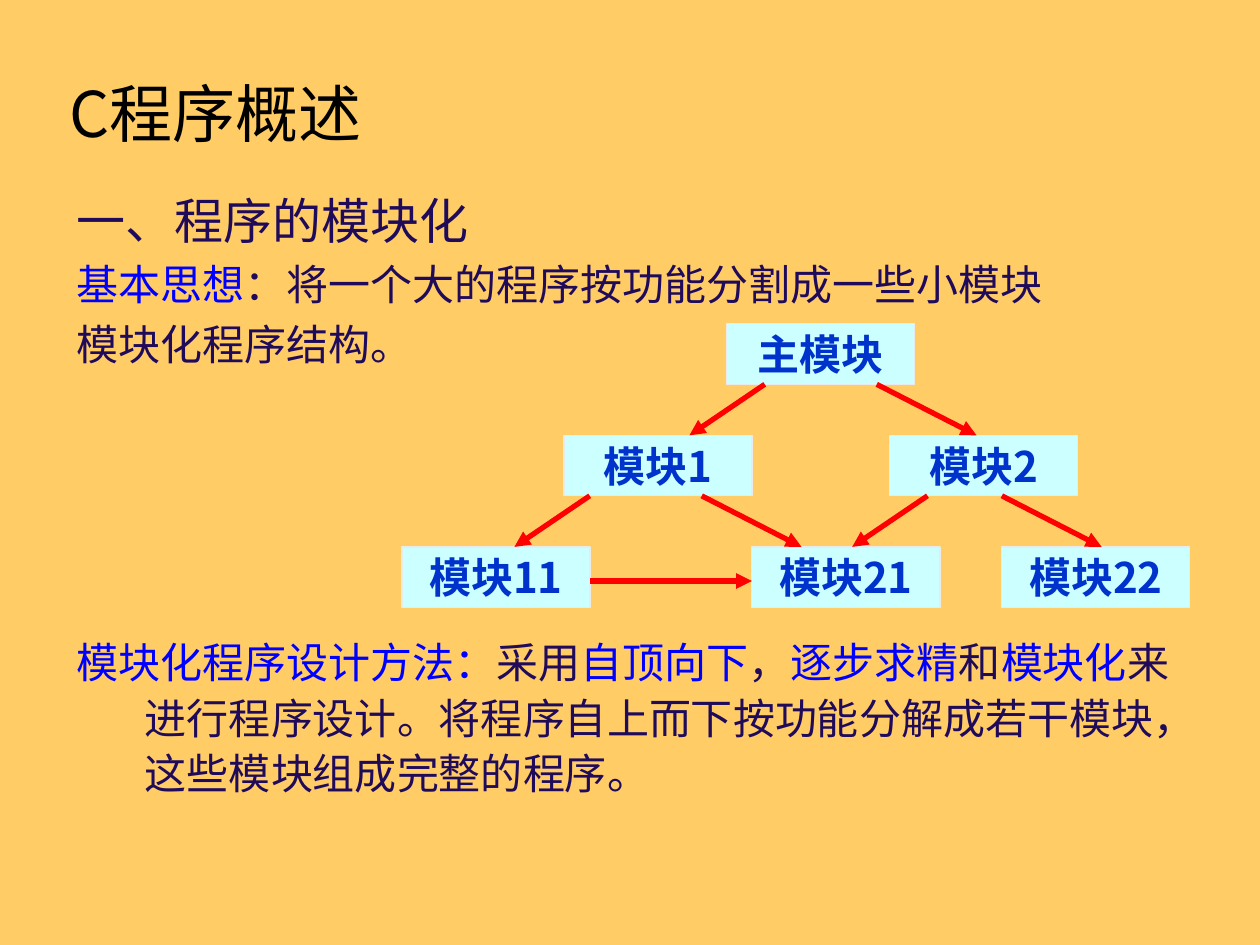
from lxml import etree
from pptx import Presentation
from pptx.dml.color import RGBColor
from pptx.enum.shapes import MSO_CONNECTOR, MSO_SHAPE
from pptx.enum.text import MSO_ANCHOR, MSO_AUTO_SIZE, PP_ALIGN
from pptx.oxml.ns import qn
from pptx.util import Pt

FONT = "Noto Sans CJK SC"
DARK, BLUE = "200B5B", "0000FF"


def color(target, value):
    """Give a fill or a font color a hex value."""
    if hasattr(target, "solid"):
        target.solid()
        target = target.fore_color
    target.rgb = RGBColor.from_string(value)


def add_text(paragraph, text, size, value, bold=False):
    run = paragraph.add_run()
    run.text = text
    for name, setting in {"name": FONT, "size": Pt(size), "bold": bold}.items():
        setattr(run.font, name, setting)
    color(run.font.color, value)
    etree.SubElement(run._r.get_or_add_rPr(), qn("a:ea"), typeface=FONT)


prs = Presentation()
prs.slide_width, prs.slide_height = Pt(720), Pt(540)
slide = prs.slides.add_slide(prs.slide_layouts[5])
color(slide.background.fill, "FFCC66")

# Title
title = slide.shapes.title
title_place = {"left": 32.4, "top": 38.2, "width": 648, "height": 51.8}
for name, value in title_place.items():
    setattr(title, name, Pt(value))
title.text_frame.vertical_anchor = MSO_ANCHOR.MIDDLE
title.text_frame.auto_size = MSO_AUTO_SIZE.NONE
heading = title.text_frame.paragraphs[0]
heading.alignment = PP_ALIGN.LEFT
add_text(heading, "C程序概述", 36, "000000")

# Body text above and below the diagram: (size, line height, runs)
introduction = [
    (28, 37, [("一、程序的模块化", DARK)]),
    (24, 31.7, [("基本思想", BLUE), ("：将一个大的程序按功能分割成一些小模块", DARK)]),
    (24, 31.7, [("模块化程序结构。", DARK)]),
]
method = [
    (24, 31.7, [
        ("模块化程序设计方法：", BLUE), ("采用", DARK), ("自顶向下", BLUE),
        ("，", DARK), ("逐步求精", BLUE), ("和", DARK), ("模块化", BLUE),
        ("来进行程序设计。将程序自上而下按功能分解成若干模块，"
         "这些模块组成完整的程序。", DARK),
    ]),
]
for top, height, paragraphs in [(102, 112, introduction), (357.3, 104, method)]:
    frame = slide.shapes.add_textbox(Pt(36.9), Pt(top), Pt(648), Pt(height)).text_frame
    frame.word_wrap = True
    for index, (size, line_height, runs) in enumerate(paragraphs):
        paragraph = frame.add_paragraph() if index else frame.paragraphs[0]
        paragraph.line_spacing = Pt(line_height)
        paragraph.space_before = Pt(2.4 if index else 0)
        indent = paragraph._p.get_or_add_pPr()
        indent.set("marL", str(Pt(38.9)))
        indent.set("indent", str(-Pt(38.9)))
        for text, value in runs:
            add_text(paragraph, text, size, value)

# Module boxes: name -> (center, row)
BOX_W, BOX_H, ROW_TOP, ROW_STEP = 107.5, 34.6, 185, 63.75
modules = {
    "主模块": (469, 0),
    "模块1": (376, 1), "模块2": (562, 1),
    "模块11": (283.4, 2), "模块21": (483.4, 2), "模块22": (626.2, 2),
}
for label, (center, row) in modules.items():
    box = slide.shapes.add_shape(
        MSO_SHAPE.RECTANGLE, Pt(center - BOX_W / 2), Pt(ROW_TOP + row * ROW_STEP),
        Pt(BOX_W), Pt(BOX_H))
    box.shadow.inherit = False
    color(box.fill, "CCFFFF")
    color(box.line.fill, "EAEAEA")
    box.line.width = Pt(0.75)
    frame = box.text_frame
    frame.word_wrap = False
    frame.vertical_anchor = MSO_ANCHOR.MIDDLE
    frame.paragraphs[0].alignment = PP_ALIGN.CENTER
    add_text(frame.paragraphs[0], label, 24, "0033CC", bold=True)

# Calls between modules: (caller, start offset from its center, run to the side)
LEFT_RUN, RIGHT_RUN = -43, 57
calls = [
    ("主模块", -32, LEFT_RUN), ("主模块", 32, RIGHT_RUN),
    ("模块1", -39, LEFT_RUN), ("模块1", 25, RIGHT_RUN),
    ("模块2", -32, LEFT_RUN), ("模块2", 10.5, RIGHT_RUN),
]
arrows = []
for caller, offset, side_run in calls:
    center, row = modules[caller]
    x, row_top = center + offset, ROW_TOP + row * ROW_STEP
    arrows.append((x, row_top + BOX_H, x + side_run, row_top + ROW_STEP))
arrows.append((modules["模块11"][0] + BOX_W / 2, 332,
               modules["模块21"][0] - BOX_W / 2, 332))

for ends in arrows:
    arrow = slide.shapes.add_connector(MSO_CONNECTOR.STRAIGHT, *map(Pt, ends))
    color(arrow.line.fill, "FF0000")
    arrow.line.width = Pt(3)
    etree.SubElement(arrow.line._get_or_add_ln(), qn("a:tailEnd"), type="triangle")
    etree.SubElement(arrow._element.spPr, qn("a:effectLst"))

prs.save("out.pptx")
